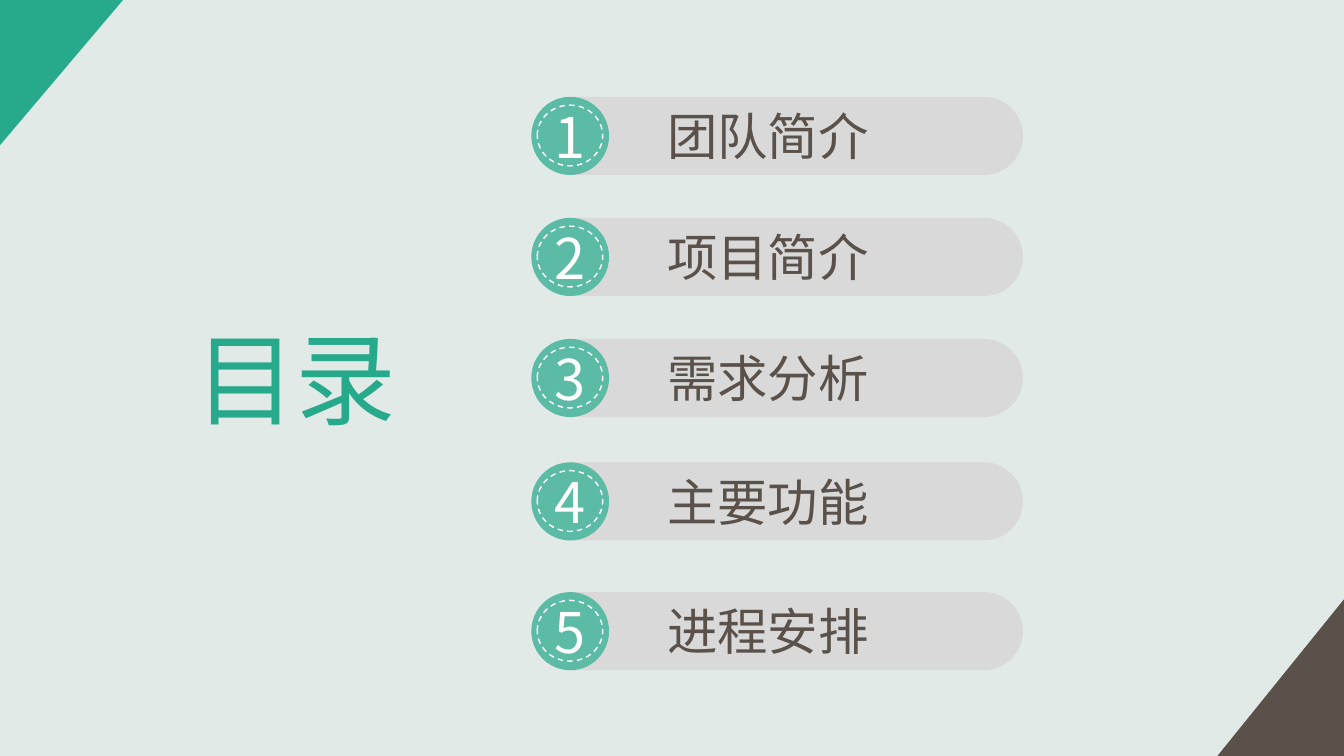
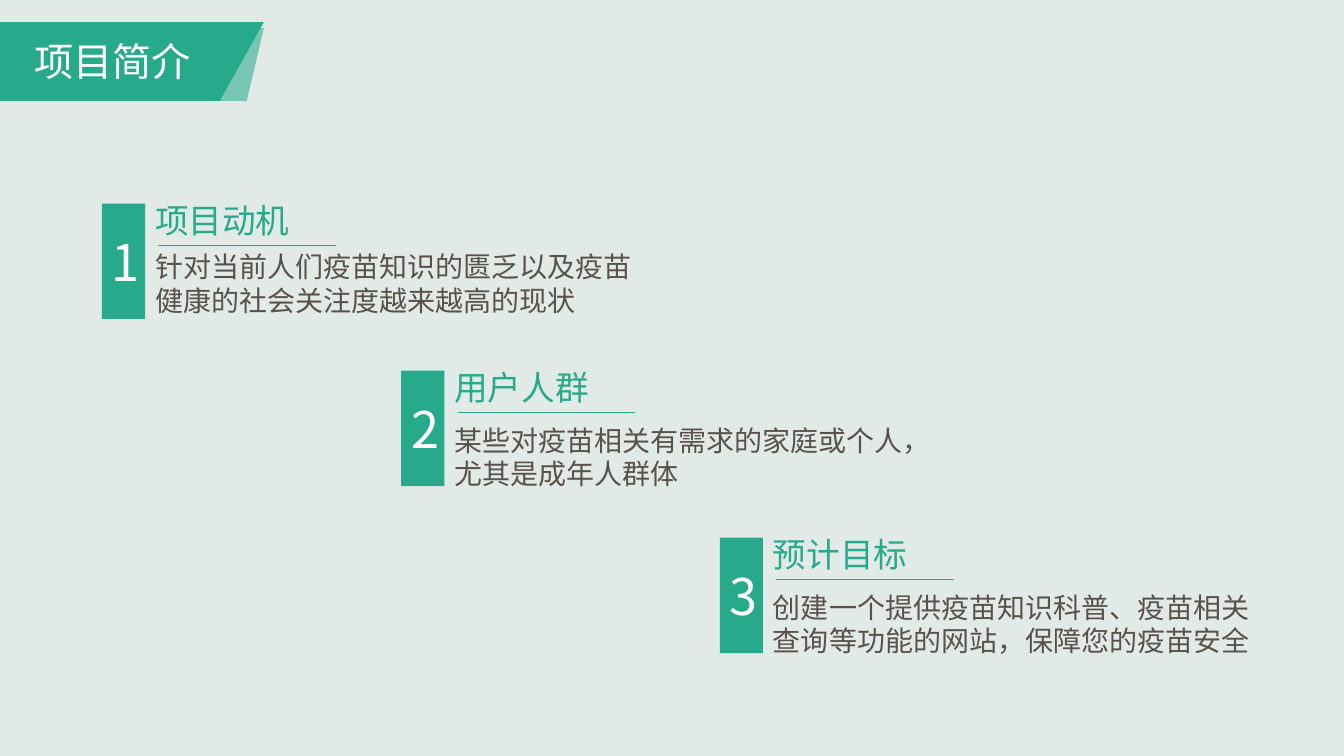
"""Build a contents slide and a project introduction slide."""
from lxml import etree
from pptx import Presentation
from pptx import util as u
from pptx.dml import color
from pptx.enum import dml, lang, shapes, text
from pptx.oxml import ns

FONT = "Noto Sans CJK JP"
GREEN = "27A98C"
MINT = "5BBBA5"
BROWN = "5A514A"
GREY = "D9D9D9"
WHITE = "FFFFFF"
PALE = "E1EAE7"

CONTENTS = [
    (2.44, "团队简介"),
    (5.49, "项目简介"),
    (8.54, "需求分析"),
    (11.65, "主要功能"),
    (14.92, "进程安排"),
]
TOPICS = [
    (2.57, 1.04, "项目动机", "针对当前人们疫苗知识的匮乏以及疫苗健康的社会关注度越来越高的现状"),
    (10.11, 1.4, "用户人群", "某些对疫苗相关有需求的家庭或个人，尤其是成年人群体"),
    (18.14, 1.4, "预计目标", "创建一个提供疫苗知识科普、疫苗相关查询等功能的网站，保障您的疫苗安全"),
]


def paint(target, value):
    """Give a fill or line format one solid colour."""
    target.solid()
    target.fore_color.rgb = color.RGBColor.from_string(value)


def write(shape, words, size, value, align=text.PP_ALIGN.LEFT):
    """Write one paragraph of styled text into a shape."""
    para = shape.text_frame.paragraphs[0]
    para.alignment = align
    span = para.add_run()
    span.text = words
    span.font.size = u.Pt(size)
    span.font.name = FONT
    span.font.language_id = lang.MSO_LANGUAGE_ID.SIMPLIFIED_CHINESE
    paint(span.font.fill, value)
    east_asian = etree.SubElement(span._r.get_or_add_rPr(), ns.qn("a:ea"))
    east_asian.set("typeface", FONT)


def add_label(page, frame, words, size, value, align=text.PP_ALIGN.LEFT):
    """Add a wrapped text box that grows with its text."""
    box = page.shapes.add_textbox(*map(u.Cm, frame))
    box.text_frame.word_wrap = True
    box.text_frame.auto_size = text.MSO_AUTO_SIZE.SHAPE_TO_FIT_TEXT
    write(box, words, size, value, align)


def add_block(page, kind, frame, value=None):
    """Add a flat preset shape, unfilled when no colour is given."""
    block = page.shapes.add_shape(kind, *map(u.Cm, frame))
    block.shadow.inherit = False
    block.line.fill.background()
    if value:
        paint(block.fill, value)
    else:
        block.fill.background()
    return block


def add_number(page, kind, frame, value, number, size):
    """Add a filled shape with a centred white number."""
    badge = add_block(page, kind, frame, value)
    badge.text_frame.vertical_anchor = text.MSO_ANCHOR.MIDDLE
    write(badge, str(number), size, WHITE, text.PP_ALIGN.CENTER)


def add_corner(page, frame, rotation, value):
    """Add a right triangle turned into a slide corner."""
    corner = add_block(page, shapes.MSO_SHAPE.RIGHT_TRIANGLE, frame, value)
    corner.rotation = rotation


def add_band(page, top, right, foot, opacity=100):
    """Add a slanted title band running from the left slide edge."""
    bottom = 2.54
    builder = page.shapes.build_freeform(0, u.Cm(top), 1.0)
    corners = [(right, top), (foot, bottom), (0, bottom)]
    builder.add_line_segments([(u.Cm(x), u.Cm(y)) for x, y in corners])
    band = builder.convert_to_shape()
    band.shadow.inherit = False
    band.line.fill.background()
    paint(band.fill, GREEN)
    if opacity < 100:
        tint = band.fill._xPr.find(".//" + ns.qn("a:srgbClr"))
        etree.SubElement(tint, ns.qn("a:alpha")).set("val", str(opacity * 1000))


def add_rule(page, left, top, width):
    """Add a thin green horizontal line."""
    rule = page.shapes.add_connector(
        shapes.MSO_CONNECTOR.STRAIGHT, u.Cm(left), u.Cm(top), u.Cm(left + width), u.Cm(top)
    )
    paint(rule.line.fill, GREEN)
    rule.line.width = u.Pt(0.5)
    etree.SubElement(rule._element.spPr, ns.qn("a:effectLst"))


def add_entry(page, number, top, words):
    """Add one numbered row of the contents list."""
    bar = add_block(page, shapes.MSO_SHAPE.ROUNDED_RECTANGLE, (13.45, top, 12.33, 1.97), GREY)
    bar.adjustments[0] = 0.5
    oval = shapes.MSO_SHAPE.OVAL
    add_number(page, oval, (13.39, top, 1.96, 1.97), MINT, number, 40)
    ring = add_block(page, oval, (13.54, top + 0.21, 1.65, 1.53))
    paint(ring.line.fill, WHITE)
    ring.line.width = u.Pt(1)
    ring.line.dash_style = dml.MSO_LINE.DASH
    add_label(page, (16.56, top + 0.09, 8.13, 1.8), words, 36, BROWN)


def add_topic(page, number, left, top, body_drop, heading, body):
    """Add a numbered topic with heading, rule and body."""
    add_number(page, shapes.MSO_SHAPE.RECTANGLE, (left, top, 1.09, 2.91), GREEN, number, 36)
    add_rule(page, left + 1.42, top + 1.05, 4.47)
    text_left = left + 1.09
    add_label(page, (text_left, top - 0.22, 4.11, 1.28), heading, 24, GREEN)
    add_label(page, (text_left, top + body_drop - 0.2 * (body_drop > 1.04), 12.55, 1.96), body, 20, BROWN)


def build_contents(page):
    """Lay out the contents slide."""
    add_corner(page, (-0.28, 0.28, 3.66, 3.1), 90, GREEN)
    add_corner(page, (30.3, 15.47, 3.96, 3.2), 270, BROWN)
    add_label(page, (4.67, 7.85, 5.74, 3.33), "目录", 72, GREEN)
    for number, (top, words) in enumerate(CONTENTS, 1):
        add_entry(page, number, top, words)


def build_project(page):
    """Lay out the project introduction slide."""
    add_band(page, 0.71, 6.65, 6.22, opacity=56)
    add_band(page, 0.56, 6.65, 5.54)
    add_label(page, (-0.05, 0.81, 5.77, 1.45), "项目简介", 28, WHITE, text.PP_ALIGN.CENTER)
    for index, (left, body_drop, heading, body) in enumerate(TOPICS):
        add_topic(page, index + 1, left, 5.13 + 4.21 * index, body_drop, heading, body)


def main():
    """Create both slides and save the deck."""
    deck = Presentation()
    deck.slide_width, deck.slide_height = u.Cm(33.87), u.Cm(19.05)
    paint(deck.slide_master.background.fill, PALE)
    for build in (build_contents, build_project):
        build(deck.slides.add_slide(deck.slide_layouts[6]))
    deck.save("out.pptx")


if __name__ == "__main__":
    main()
